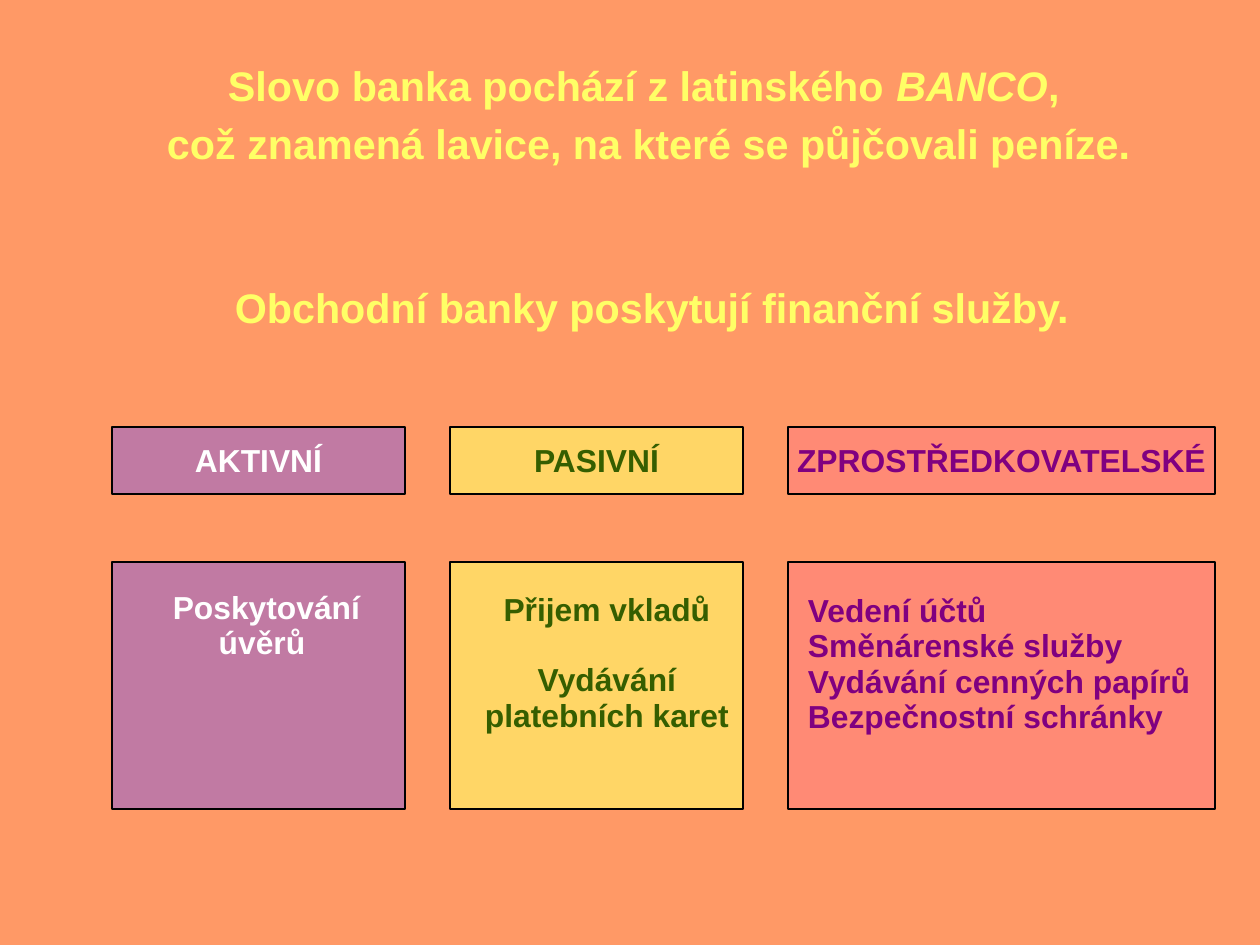
from dataclasses import dataclass

from lxml.etree import SubElement
from pptx import Presentation
from pptx.dml.color import RGBColor
from pptx.enum.shapes import MSO_SHAPE as Preset
from pptx.enum.text import MSO_ANCHOR as Anchor, MSO_AUTO_SIZE as AutoSize, PP_ALIGN as Align
from pptx.oxml.ns import qn
from pptx.util import Pt

ORIGIN = [
    [("Slovo banka pochází z latinského ", False), ("BANCO", True), (", ", False)],
    [("což znamená lavice, na které se půjčovali peníze.", False)],
]
OFFER = [[("Obchodní banky poskytují finanční služby.", False)]]

SERVICES = [
    {"kind": "AKTIVNÍ", "items": ["Poskytování úvěrů "],
     "fill": "9966CC", "ink": "FFFFFF", "width": 293,
     "items_at": (135, 583, 263, 83), "align": Align.CENTER, "gap": 0},
    {"kind": "PASIVNÍ", "items": ["Přijem vkladů", "Vydávání platebních karet"],
     "fill": "FFFF66", "ink": "355E00", "width": 293,
     "items_at": (472, 585, 270, 155), "align": Align.CENTER, "gap": 22},
    {"kind": "ZPROSTŘEDKOVATELSKÉ",
     "items": ["Vedení účtů", "Směnárenské služby",
               "Vydávání cenných papírů", "Bezpečnostní schránky"],
     "fill": "FF8080", "ink": "800080", "width": 427,
     "items_at": (797, 586, 463, 192), "align": Align.LEFT, "gap": 0},
]


@dataclass(frozen=True)
class Theme:
    font: str = "Arial"
    background: str = "FF9966"
    heading: str = "FFFF66"
    outline: str = "000000"
    heading_size: int = 26
    service_size: int = 20
    heading_spacing: float = 1.18
    service_spacing: float = 0.93
    opacity: int = 60


THEME = Theme()
EMU_PER_PX = 8000
SLIDE_SIZE = (1260, 945)
ORIGIN_AT = (38, 45, 1223, 128)
OFFER_AT = (90, 267, 1125, 70)
COLUMNS_LEFT, COLUMN_GAP = 112, 45
KIND_TOP, KIND_HEIGHT = 427, 67
CARD_TOP, CARD_HEIGHT = 562, 247


def px(*lengths):
    return [length * EMU_PER_PX for length in lengths]


def apply(target, values):
    for name, value in values.items():
        setattr(target, name, value)


def write(holder, lines, size, ink, spacing, align=Align.CENTER, gap=0,
          inset_top=8, anchor=Anchor.TOP, wrap=True):
    frame = holder.text_frame
    left, top, right, bottom = px(11, inset_top, 11, 6)
    apply(frame, {"auto_size": AutoSize.NONE, "word_wrap": wrap, "vertical_anchor": anchor,
                  "margin_left": left, "margin_top": top,
                  "margin_right": right, "margin_bottom": bottom})
    for index, line in enumerate(lines):
        paragraph = frame.add_paragraph() if index else frame.paragraphs[0]
        apply(paragraph, {"alignment": align, "line_spacing": spacing,
                          "space_before": Pt(gap if index else 0)})
        for words, italic in line:
            run = paragraph.add_run()
            run.text = words
            apply(run.font, {"name": THEME.font, "size": Pt(size),
                             "bold": True, "italic": italic})
            run.font.color.rgb = RGBColor.from_string(ink)


def add_panel(slide, at, fill):
    panel = slide.shapes.add_shape(Preset.RECTANGLE, *px(*at))
    panel.shadow.inherit = False
    panel.fill.solid()
    panel.fill.fore_color.rgb = RGBColor.from_string(fill)
    color = panel.element.spPr.find(qn("a:solidFill")).find(qn("a:srgbClr"))
    SubElement(color, qn("a:alpha")).set("val", str(THEME.opacity * 1000))
    panel.line.color.rgb = RGBColor.from_string(THEME.outline)
    panel.line.width = Pt(0.75)
    return panel


def add_service(slide, service, left):
    style = {"size": THEME.service_size, "ink": service["ink"],
             "spacing": THEME.service_spacing}
    kind = add_panel(slide, (left, KIND_TOP, service["width"], KIND_HEIGHT), service["fill"])
    write(kind, [[(service["kind"], False)]], anchor=Anchor.MIDDLE, wrap=False, **style)
    add_panel(slide, (left, CARD_TOP, service["width"], CARD_HEIGHT), service["fill"])
    items = slide.shapes.add_textbox(*px(*service["items_at"]))
    write(items, [[(item, False)] for item in service["items"]],
          align=service["align"], gap=service["gap"], **style)


def main():
    deck = Presentation()
    deck.slide_width, deck.slide_height = px(*SLIDE_SIZE)
    slide = deck.slides.add_slide(deck.slide_layouts[5])
    slide.background.fill.solid()
    slide.background.fill.fore_color.rgb = RGBColor.from_string(THEME.background)

    origin = slide.shapes.title
    apply(origin, dict(zip(("left", "top", "width", "height"), px(*ORIGIN_AT))))
    offer = slide.shapes.add_textbox(*px(*OFFER_AT))
    for heading, lines in ((origin, ORIGIN), (offer, OFFER)):
        write(heading, lines, THEME.heading_size, THEME.heading,
              THEME.heading_spacing, inset_top=6)

    left = COLUMNS_LEFT
    for service in SERVICES:
        add_service(slide, service, left)
        left += service["width"] + COLUMN_GAP

    deck.save("out.pptx")


if __name__ == "__main__":
    main()
